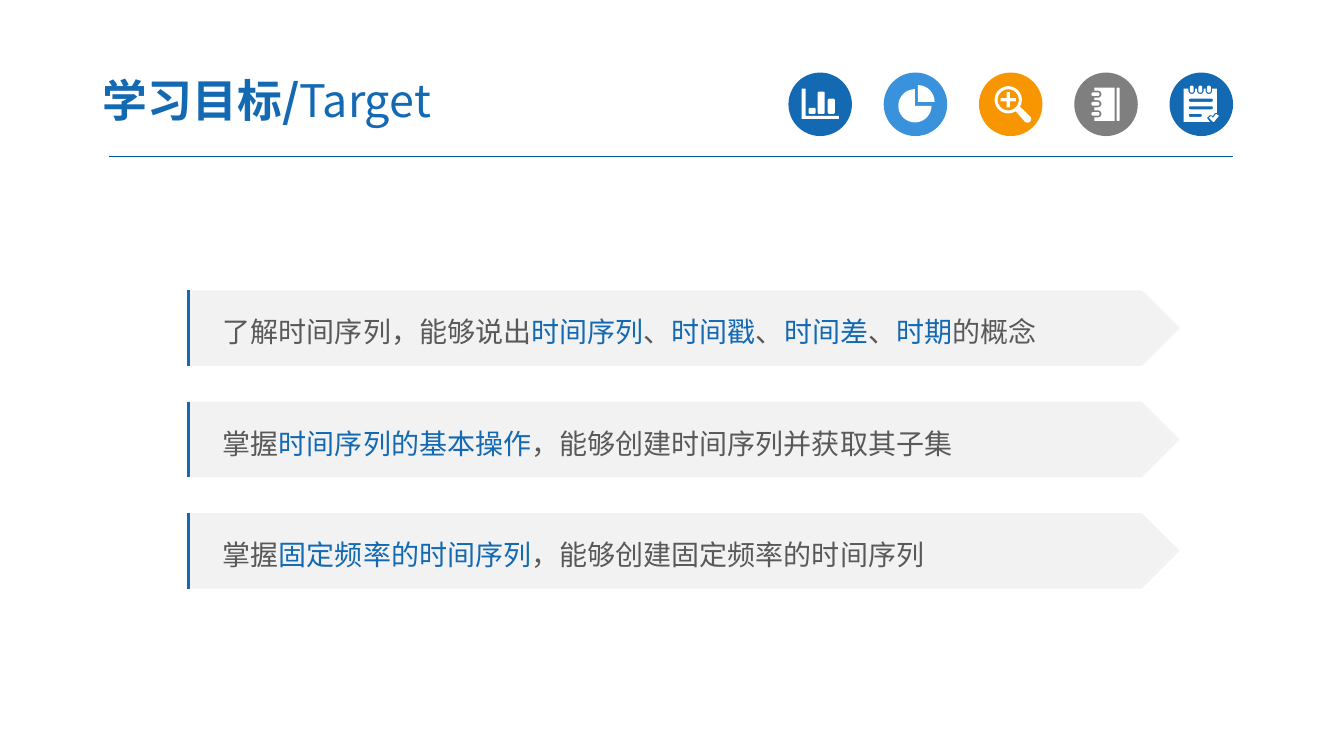
"""Build the learning-target slide: a title, five round icons and three goal banners."""
import dataclasses
import math

import lxml.etree
import pptx
import pptx.dml.color
import pptx.enum.shapes
import pptx.enum.text
import pptx.oxml.ns
import pptx.util

Point = tuple[float, float]
Contour = list[Point]

COLORS = {
    "blue": "1369B2", "sky": "3992DB", "orange": "F79600", "gray": "7F7F7F",
    "rule": "005B9E", "banner": "F2F2F2", "text": "595959", "white": "FFFFFF",
}
FONT = "Noto Sans CJK SC"
SLIDE_WIDTH, SLIDE_HEIGHT = pptx.util.Inches(13.33), pptx.util.Inches(7.5)
COLUMN, ROW = SLIDE_WIDTH / 133.3, SLIDE_HEIGHT / 75
ICON_LEFT, ICON_TOP, ICON_SIZE, ICON_PITCH = 78.2, 7.2, 6.3, 9.45
BANNER_LEFT, BANNER_TOP, BANNER_WIDTH, BANNER_HEIGHT, BANNER_PITCH = 18.6, 28.8, 98.4, 7.5, 11.05
PRECISION = 1000


@dataclasses.dataclass
class Icon:
    color: str
    contours: list[Contour]


@dataclasses.dataclass
class Segment:
    text: str
    color: str = "text"
    bold: bool = False


def columns(count: float) -> int:
    return round(count * COLUMN)


def rows(count: float) -> int:
    return round(count * ROW)


def rgb(name: str) -> pptx.dml.color.RGBColor:
    return pptx.dml.color.RGBColor.from_string(COLORS[name])


def arc(x: float, y: float, radius: float, start: int, stop: int) -> Contour:
    steps = max(4, abs(stop - start) // 10)
    angles = [math.radians(start + (stop - start) * step / steps) for step in range(steps + 1)]
    return [(x + radius * math.cos(angle), y + radius * math.sin(angle)) for angle in angles]


def rounded(left: float, top: float, width: float, height: float, radius: float) -> Contour:
    near_x, far_x = left + radius, left + width - radius
    near_y, far_y = top + radius, top + height - radius
    return (arc(near_x, near_y, radius, 180, 270) + arc(far_x, near_y, radius, 270, 360)
            + arc(far_x, far_y, radius, 0, 90) + arc(near_x, far_y, radius, 90, 180))


def bar_chart() -> list[Contour]:
    axes = [(1.3, 1.6), (1.7, 1.6), (1.7, 4.3), (5, 4.3), (5, 4.6), (1.3, 4.6)]
    bars = [(2, 3.5), (2.9, 1.9), (3.9, 2.6)]
    return [axes] + [rounded(left, top, 0.7, 4.1 - top, 0.15) for left, top in bars]


def pie_chart() -> list[Contour]:
    return [[(3.4, 2.9)] + arc(3.4, 2.9, 1.65, -90, 0),
            [(3.1, 3.3)] + arc(3.1, 3.3, 1.65, 0, 270)]


def magnifier() -> list[Contour]:
    x, y, reach, half = 2.9, 2.7, 0.75, 0.17
    outline = arc(x, y, 1.35, 57, 390) + arc(4.8, 4.6, 0.37, -45, 135)
    plus = [(-reach, -half), (-half, -half), (-half, -reach), (half, -reach),
            (half, -half), (reach, -half), (reach, half), (half, half),
            (half, reach), (-half, reach), (-half, half), (-reach, half)]
    return [outline, arc(x, y, 1.05, 0, 360), [(x + dx, y + dy) for dx, dy in plus]]


def notebook() -> list[Contour]:
    ring_rows = [2.15, 3.1, 4.1]
    page = [(2, 1.5), (4, 1.5), (4, 4.8), (2, 4.8)]
    for y in reversed(ring_rows):
        page += [(2, y + 0.35)] + arc(2.35, y, 0.35, 90, -90) + [(2, y - 0.35)]
    rings = [rounded(1.7, y - 0.18, 0.8, 0.36, 0.17) for y in ring_rows]
    return [page, rounded(4.2, 1.5, 0.3, 3.3, 0.1)] + rings


def checklist() -> list[Contour]:
    pin_columns = [2.2, 3.05, 3.9]
    sheet = [(1.4, 4.9), (1.4, 1.6)]
    for x in pin_columns:
        sheet += [(x - 0.33, 1.6)] + arc(x, 1.8, 0.33, 180, 0) + [(x + 0.33, 1.6)]
    sheet += [(4.7, 1.6), (4.7, 4), (4.5, 4), (4.3, 4.3), (4, 4.2), (3.7, 4.5), (4, 4.9)]
    pins = [rounded(x - 0.19, 1.3, 0.38, 0.7, 0.18) for x in pin_columns]
    lines = [rounded(1.9, y, width, 0.3, 0.14) for y, width in [(2.6, 2.4), (3.35, 2.4), (4.1, 1.3)]]
    check = [(3.9, 4.5), (4.1, 4.3), (4.3, 4.5), (4.6, 4.1), (4.9, 4.3), (4.4, 4.9), (4.3, 4.9)]
    return [sheet, check] + pins + lines


ICONS = [
    Icon("blue", bar_chart()),
    Icon("sky", pie_chart()),
    Icon("orange", magnifier()),
    Icon("gray", notebook()),
    Icon("blue", checklist()),
]
TITLE = [Segment("学习目标/", "blue", True), Segment("Target", "blue")]
GOALS = [
    [Segment("了解时间序列，能够说出"), Segment("时间序列", "blue"), Segment("、"),
     Segment("时间戳", "blue"), Segment("、"), Segment("时间差", "blue"), Segment("、"),
     Segment("时期", "blue"), Segment("的概念")],
    [Segment("掌握"), Segment("时间序列的基本操作", "blue"), Segment("，能够创建时间序列并获取其子集")],
    [Segment("掌握"), Segment("固定频率的时间序列", "blue"), Segment("，能够创建固定频率的时间序列")],
]


def paint(shape, color: str) -> None:
    shape.shadow.inherit = False
    shape.fill.solid()
    shape.fill.fore_color.rgb = rgb(color)
    shape.line.fill.background()


def draw_line(slide, start: Point, end: Point, color: str, width: float) -> None:
    connector = slide.shapes.add_connector(
        pptx.enum.shapes.MSO_CONNECTOR.STRAIGHT,
        columns(start[0]), rows(start[1]), columns(end[0]), rows(end[1]))
    connector.line.color.rgb = rgb(color)
    connector.line.width = pptx.util.Pt(width)
    properties = connector._element.spPr
    lxml.etree.SubElement(properties, pptx.oxml.ns.qn("a:effectLst"))


def write(shape, segments: list[Segment], size: int, inset: float) -> None:
    frame = shape.text_frame
    frame.word_wrap = True
    frame.vertical_anchor = pptx.enum.text.MSO_ANCHOR.MIDDLE
    frame.margin_left = columns(inset)
    paragraph = frame.paragraphs[0]
    paragraph.alignment = pptx.enum.text.PP_ALIGN.LEFT
    paragraph.font.size = pptx.util.Pt(size)
    paragraph.font.name = FONT
    east_asian = lxml.etree.SubElement(paragraph.font._element, pptx.oxml.ns.qn("a:ea"))
    east_asian.set("typeface", FONT)
    for segment in segments:
        run = paragraph.add_run()
        run.text = segment.text
        run.font.bold = segment.bold
        run.font.color.rgb = rgb(segment.color)


def draw_icon(slide, icon: Icon, left: float) -> None:
    disc = slide.shapes.add_shape(
        pptx.enum.shapes.MSO_SHAPE.OVAL,
        columns(left), rows(ICON_TOP), columns(ICON_SIZE), rows(ICON_SIZE))
    paint(disc, icon.color)
    contours = [[(x * PRECISION, y * PRECISION) for x, y in contour] for contour in icon.contours]
    builder = slide.shapes.build_freeform(*contours[0][0], scale=(COLUMN / PRECISION, ROW / PRECISION))
    builder.add_line_segments(contours[0][1:])
    for contour in contours[1:]:
        builder.move_to(*contour[0])
        builder.add_line_segments(contour[1:])
    paint(builder.convert_to_shape(columns(left), rows(ICON_TOP)), "white")


def draw_goal(slide, segments: list[Segment], top: float) -> None:
    banner = slide.shapes.add_shape(
        pptx.enum.shapes.MSO_SHAPE.PENTAGON,
        columns(BANNER_LEFT), rows(top), columns(BANNER_WIDTH), rows(BANNER_HEIGHT))
    paint(banner, "banner")
    write(banner, segments, 20, 3.5)
    banner.text_frame.paragraphs[0].line_spacing = 1.2
    edge = BANNER_LEFT + 0.1
    draw_line(slide, (edge, top), (edge, top + BANNER_HEIGHT), "blue", 1.5)


def main() -> None:
    presentation = pptx.Presentation()
    presentation.slide_width, presentation.slide_height = SLIDE_WIDTH, SLIDE_HEIGHT
    slide = presentation.slides.add_slide(presentation.slide_layouts[6])
    draw_line(slide, (10.8, 15.5), (122.3, 15.5), "rule", 0.75)
    for index, icon in enumerate(ICONS):
        draw_icon(slide, icon, ICON_LEFT + index * ICON_PITCH)
    title = slide.shapes.add_textbox(columns(8.9), rows(6.3), columns(52.2), rows(7.2))
    write(title, TITLE, 32, 1.3)
    for index, segments in enumerate(GOALS):
        draw_goal(slide, segments, BANNER_TOP + index * BANNER_PITCH)
    presentation.save("out.pptx")


if __name__ == "__main__":
    main()
